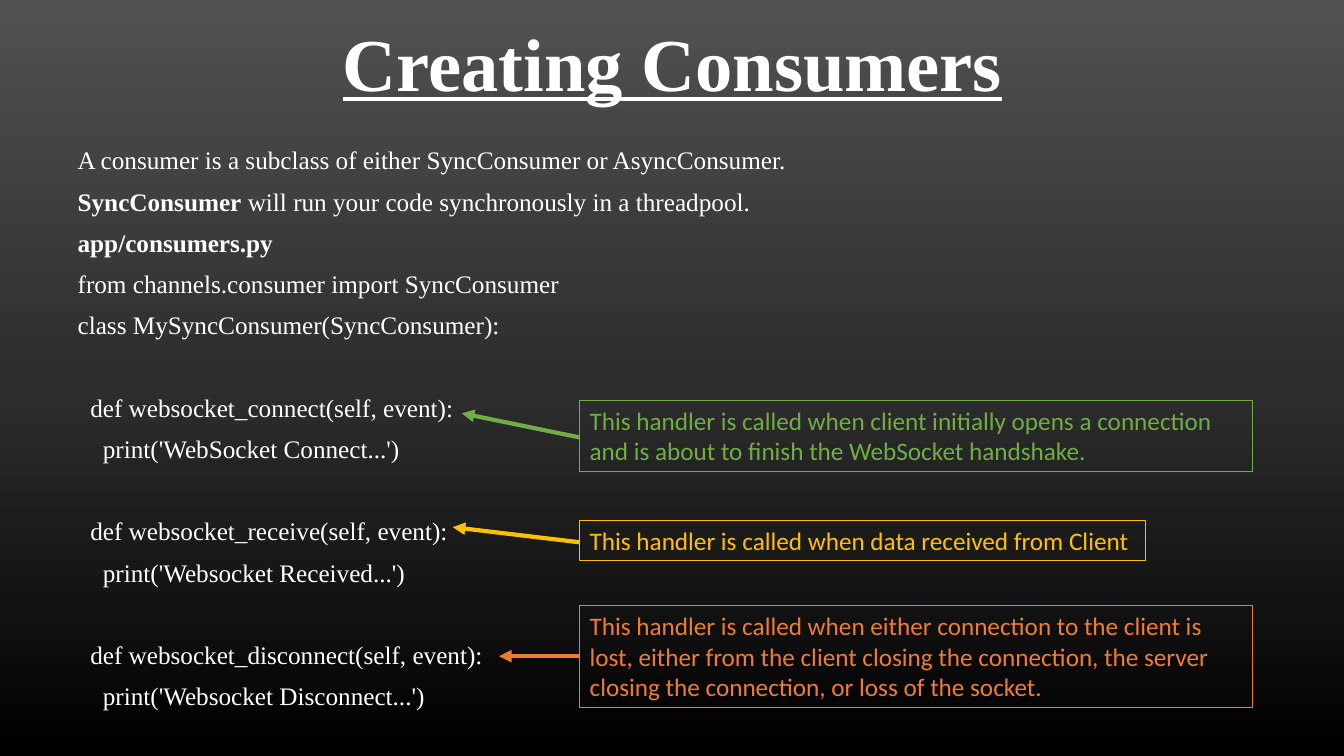
from copy import deepcopy
from typing import NamedTuple

from pptx import Presentation
from pptx.dml.color import RGBColor
from pptx.enum.shapes import MSO_CONNECTOR as Connector, MSO_SHAPE as Shape
from pptx.enum.text import MSO_ANCHOR as Anchor, MSO_AUTO_SIZE as AutoSize, PP_ALIGN as Align
from pptx.oxml.ns import qn
from pptx.oxml.xmlchemy import OxmlElement
from pptx.util import Inches, Pt

COLORS = {
    "white": "FFFFFF", "green": "70AD47", "yellow": "FFC000", "orange": "ED7D31",
    "top": "515151", "middle": "2E2E2E", "bottom": "000000",
}
SERIF, SANS = "Times New Roman", "Calibri"
CODE_SIZE = 18
NOTE_LEFT = 5.75
LEVEL_INDENT = 0.125
LINE_GAP = 10
BLOCK_GAP = 39.4


class BodyLine(NamedTuple):
    """One body paragraph: bold lead, plain rest, indent level, block start."""
    bold: str
    plain: str
    level: int = 0
    new_block: bool = False


class Note(NamedTuple):
    """A framed handler note and the arrow from it to the code."""
    text: str
    color: str
    top: float
    width: float
    height: float
    arrow_y: float
    tip_x: float
    tip_y: float
    wrap: bool = True


BODY = [
    BodyLine("", "A consumer is a subclass of either SyncConsumer or AsyncConsumer."),
    BodyLine("SyncConsumer", " will run your code synchronously in a threadpool."),
    BodyLine("app/consumers.py", ""),
    BodyLine("", "from channels.consumer import SyncConsumer"),
    BodyLine("", "class MySyncConsumer(SyncConsumer):"),
    BodyLine("", "def websocket_connect(self, event):", 1, True),
    BodyLine("", "print('WebSocket Connect...')", 2),
    BodyLine("", "def websocket_receive(self, event):", 1, True),
    BodyLine("", "print('Websocket Received...')", 2),
    BodyLine("", "def websocket_disconnect(self, event):", 1, True),
    BodyLine("", "print('Websocket Disconnect...')", 2),
]

NOTES = [
    Note("This handler is called when client initially opens a connection and is "
         "about to finish the WebSocket handshake.",
         "green", 3.97, 6.67, 0.71, 4.34, 4.58, 4.1),
    Note("This handler is called when data received from Client",
         "yellow", 5.16, 5.61, 0.4, 5.38, 4.49, 5.23, wrap=False),
    Note("This handler is called when either connection to the client is lost, "
         "either from the client closing the connection, the server closing the "
         "connection, or loss of the socket.",
         "orange", 6.01, 6.67, 1.01, 6.51, 4.95, 6.51),
]


def rgb(name: str) -> RGBColor:
    """Look up a named colour."""
    return RGBColor.from_string(COLORS[name])


def style(span, font: str, size: float, color: str, bold: bool = False) -> None:
    """Format one run."""
    span.font.name, span.font.size, span.font.bold = font, Pt(size), bold
    span.font.color.rgb = rgb(color)


def place(box, left: float, top: float, width: float, height: float) -> None:
    """Move and size a placeholder, in inches."""
    box.left, box.top = Inches(left), Inches(top)
    box.width, box.height = Inches(width), Inches(height)


def paint_background(page) -> None:
    """Fill the page with a three-stop vertical gradient."""
    fill = page.background.fill
    fill.gradient()
    fill.gradient_angle = 270
    stop_list = page.background._cSld.find(".//" + qn("a:gsLst"))
    stop_list.insert(1, deepcopy(stop_list[0]))
    for stop, name, position in zip(fill.gradient_stops, ("top", "middle", "bottom"), (0, 0.5, 1)):
        stop.color.rgb = rgb(name)
        stop.position = position


def write_title(box) -> None:
    """Write the underlined page title."""
    place(box, 0.67, 0.04, 12, 1.25)
    frame = box.text_frame
    frame.text = "Creating Consumers"
    frame.vertical_anchor, frame.auto_size = Anchor.MIDDLE, AutoSize.NONE
    para = frame.paragraphs[0]
    para.alignment, para.line_spacing = Align.CENTER, 0.9
    style(para.runs[0], SERIF, 53.3, "white", bold=True)
    para.runs[0].font.underline = True


def write_body(box) -> None:
    """Write the explanation and code, indented by level."""
    place(box, 0.67, 1.42, 12, 5.6)
    frame = box.text_frame
    frame.auto_size, frame.vertical_anchor = AutoSize.NONE, Anchor.TOP
    for index, line in enumerate(BODY):
        para = frame.add_paragraph() if index else frame.paragraphs[0]
        para.alignment, para.line_spacing = Align.LEFT, 0.9
        para.space_before = Pt(BLOCK_GAP if line.new_block else LINE_GAP)
        properties = para._p.get_or_add_pPr()
        properties.set("marL", str(Inches(LEVEL_INDENT * line.level)))
        properties.set("indent", "0")
        properties.append(OxmlElement("a:buNone"))
        for text, bold in ((line.bold, True), (line.plain, False)):
            if text:
                span = para.add_run()
                span.text = text
                style(span, SERIF, CODE_SIZE, "white", bold)


def add_note(page, note: Note) -> None:
    """Draw a framed handler note."""
    box = page.shapes.add_shape(Shape.RECTANGLE, Inches(NOTE_LEFT), Inches(note.top),
                                Inches(note.width), Inches(note.height))
    box.shadow.inherit = False
    box.fill.background()
    box.line.color.rgb, box.line.width = rgb(note.color), Pt(0.75)
    frame = box.text_frame
    frame.text = note.text
    frame.word_wrap, frame.vertical_anchor = note.wrap, Anchor.TOP
    frame.auto_size = AutoSize.SHAPE_TO_FIT_TEXT
    frame.paragraphs[0].alignment = Align.LEFT
    style(frame.paragraphs[0].runs[0], SANS, 18, note.color)


def add_arrow(page, note: Note) -> None:
    """Draw the arrow from a note to its handler."""
    arrow = page.shapes.add_connector(Connector.STRAIGHT, Inches(NOTE_LEFT), Inches(note.arrow_y),
                                      Inches(note.tip_x), Inches(note.tip_y))
    arrow.line.color.rgb, arrow.line.width = rgb(note.color), Pt(3)
    head = OxmlElement("a:tailEnd")
    head.set("type", "triangle")
    arrow.line._get_or_add_ln().append(head)
    arrow._element.spPr.append(OxmlElement("a:effectLst"))


deck = Presentation()
deck.slide_width, deck.slide_height = Inches(13.33), Inches(7.5)
page = deck.slides.add_slide(deck.slide_layouts[1])
paint_background(page)
write_title(page.shapes.title)
write_body(page.placeholders[1])
for note in NOTES:
    add_note(page, note)
for note in NOTES:
    add_arrow(page, note)
deck.save("out.pptx")
